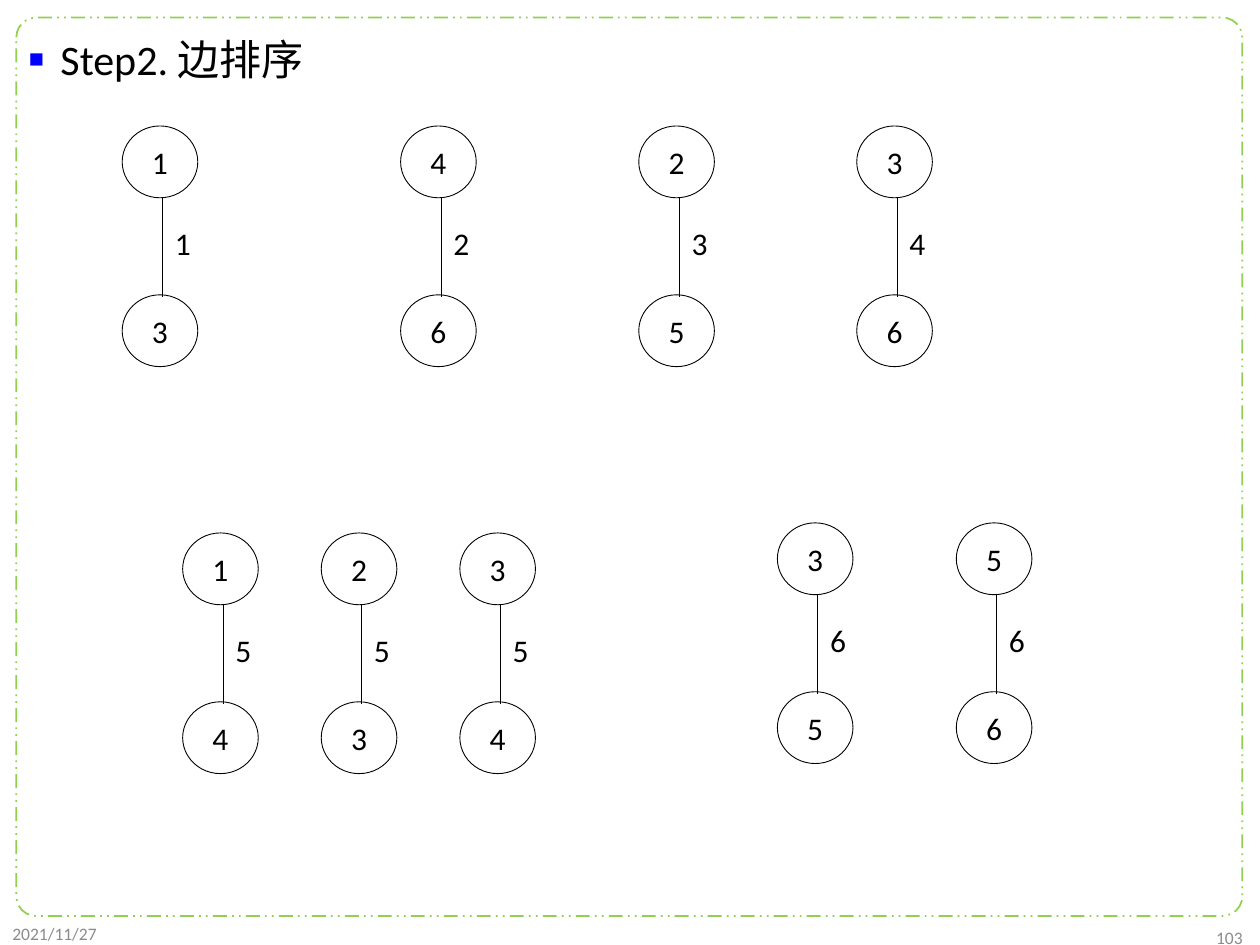
import pptx
import pptx.util
import pptx.dml.color
import pptx.enum.dml
import pptx.enum.shapes
import pptx.enum.text
import pptx.oxml
import pptx.oxml.ns
from lxml import etree

Inches, Pt = pptx.util.Inches, pptx.util.Pt
ALIGN = pptx.enum.text.PP_ALIGN
ANCHOR = pptx.enum.text.MSO_ANCHOR
SHAPE = pptx.enum.shapes.MSO_SHAPE
COLORS = {"ink": "000000", "frame": "92D050", "bullet": "0000FF", "footer": "8C8C8C"}
FONT = "Calibri"


def color(name):
    return pptx.dml.color.RGBColor.from_string(COLORS[name])


def write(shape, text, size, ink="ink", align=ALIGN.LEFT, anchor=ANCHOR.TOP, wrap=True):
    tf = shape.text_frame
    tf.text = text
    tf.word_wrap = wrap
    tf.vertical_anchor = anchor
    p = tf.paragraphs[0]
    p.alignment = align
    r = p.runs[0]
    r.font.size, r.font.name = Pt(size), FONT
    r.font.color.rgb = color(ink)
    return p


def add_outline(s, kind, x, y, w, h, ink, width):
    sp = s.shapes.add_shape(kind, Inches(x), Inches(y), Inches(w), Inches(h))
    sp.shadow.inherit = False
    sp.fill.background()
    sp.line.color.rgb = color(ink)
    sp.line.width = Pt(width)
    return sp


def add_frame(s, x, y, w, h):
    sp = add_outline(s, SHAPE.ROUNDED_RECTANGLE, x, y, w, h, "frame", 1)
    sp.adjustments[0] = 0.022
    sp.line.dash_style = pptx.enum.dml.MSO_LINE.DASH_DOT_DOT
    s.shapes.element.insert(2, sp.element)  # behind everything else


def add_heading(s, text, x, y, w, h):
    sp = s.placeholders[1]
    sp.left, sp.top, sp.width, sp.height = Inches(x), Inches(y), Inches(w), Inches(h)
    p = write(sp, text, 24)
    p.line_spacing, p.space_before = 1.1, Pt(0)
    pPr = p._p.get_or_add_pPr()
    pPr.set("marL", str(Inches(0.25)))
    pPr.set("indent", str(-Inches(0.25)))
    clr = etree.SubElement(pPr, pptx.oxml.ns.qn("a:buClr"))
    etree.SubElement(clr, pptx.oxml.ns.qn("a:srgbClr"), val=COLORS["bullet"])
    etree.SubElement(pPr, pptx.oxml.ns.qn("a:buSzPct"), val="60000")
    etree.SubElement(pPr, pptx.oxml.ns.qn("a:buFont"), typeface="Arial")
    etree.SubElement(pPr, pptx.oxml.ns.qn("a:buChar"), char="■")


def add_text(s, text, x, y, w, h, size, **style):
    tb = s.shapes.add_textbox(Inches(x), Inches(y), Inches(w), Inches(h))
    write(tb, text, size, **style)


def add_edge(s, x, y, top, bottom, weight):
    """Two nodes, one above the other, joined by a weighted edge."""
    for node, dy in ((bottom, 1.34), (top, 0)):
        sp = add_outline(s, SHAPE.OVAL, x, y + dy, 0.6, 0.57, "ink", 0.5)
        write(sp, node, 18, align=ALIGN.CENTER, anchor=ANCHOR.MIDDLE)
    line_x = Inches(x + 0.32)
    cx = s.shapes.add_connector(pptx.enum.shapes.MSO_CONNECTOR.STRAIGHT,
                                line_x, Inches(y + 0.57), line_x, Inches(y + 1.36))
    cx.line.color.rgb = color("ink")
    cx.line.width = Pt(0.5)
    etree.SubElement(cx.element.spPr, pptx.oxml.ns.qn("a:effectLst"))
    add_text(s, weight, x + 0.32, y + 0.73, 0.34, 0.4, 18, wrap=False)


def add_edge_row(s, y, edges):
    for x, top, bottom, weight in edges:
        add_edge(s, x, y, top, bottom, weight)


def main():
    prs = pptx.Presentation()
    prs.slide_width, prs.slide_height = Inches(10), Inches(7.5)
    s = prs.slides.add_slide(prs.slide_layouts[1])
    title = s.shapes.title.element
    title.getparent().remove(title)

    # Frame and heading
    add_frame(s, 0.13, 0.14, 9.73, 7.13)
    add_heading(s, "Step2. 边排序", 0.13, 0.18, 9.73, 7.08)

    # Footer
    footer = {"ink": "footer", "anchor": ANCHOR.MIDDLE}
    add_text(s, "2021/11/27", 0, 7.26, 2.25, 0.29, 10, **footer)
    add_text(s, "103", 7.71, 7.31, 2.25, 0.26, 10, align=ALIGN.RIGHT, **footer)

    # Edges in order of weight: x, top node, bottom node, weight
    add_edge_row(s, 1, [(0.97, "1", "3", "1"), (3.18, "4", "6", "2"),
                        (5.07, "2", "5", "3"), (6.8, "3", "6", "4")])
    add_edge_row(s, 4.23, [(1.45, "1", "4", "5"), (2.55, "2", "3", "5"),
                           (3.65, "3", "4", "5")])
    add_edge_row(s, 4.15, [(6.17, "3", "5", "6"), (7.59, "5", "6", "6")])

    prs.save("out.pptx")


if __name__ == "__main__":
    main()
